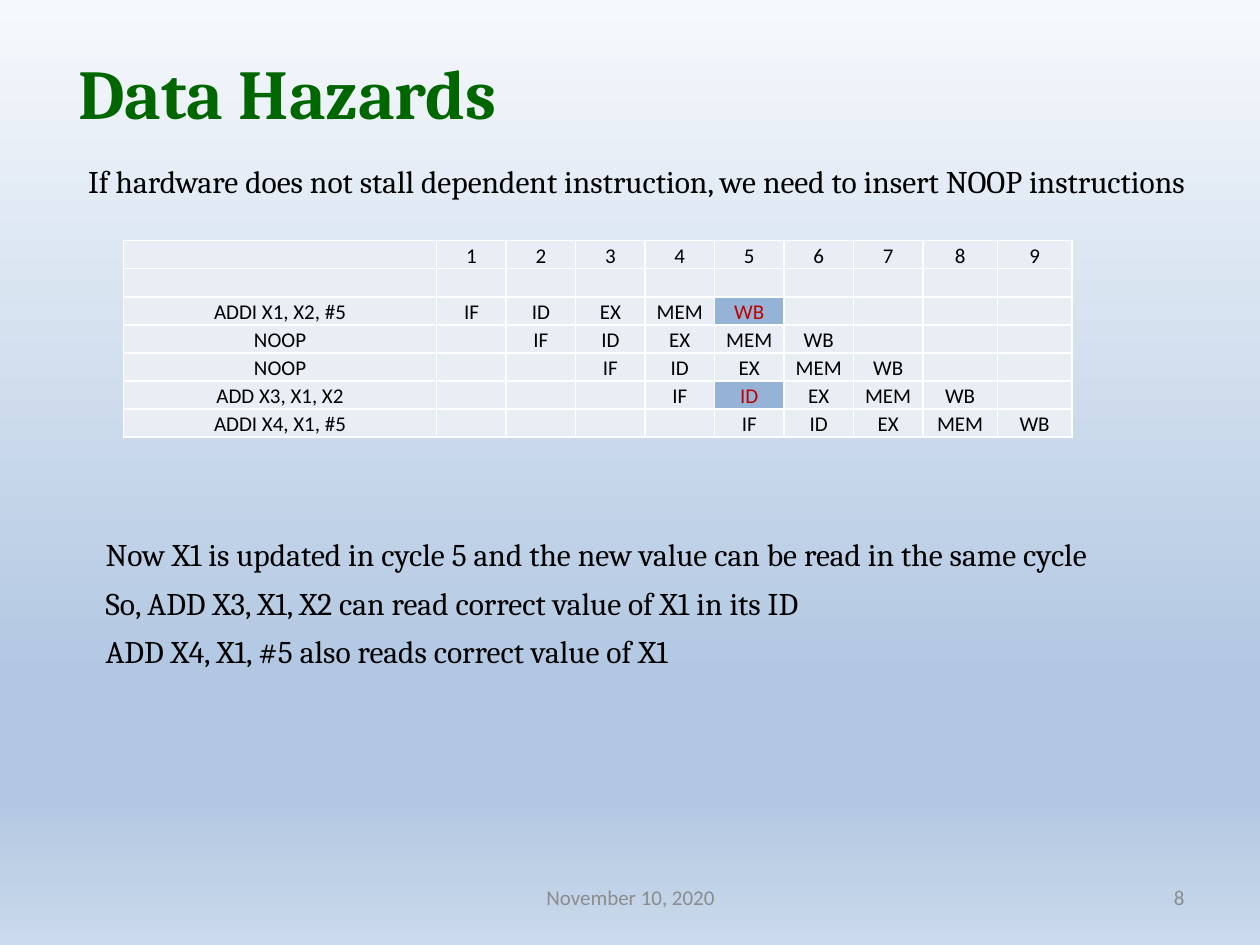
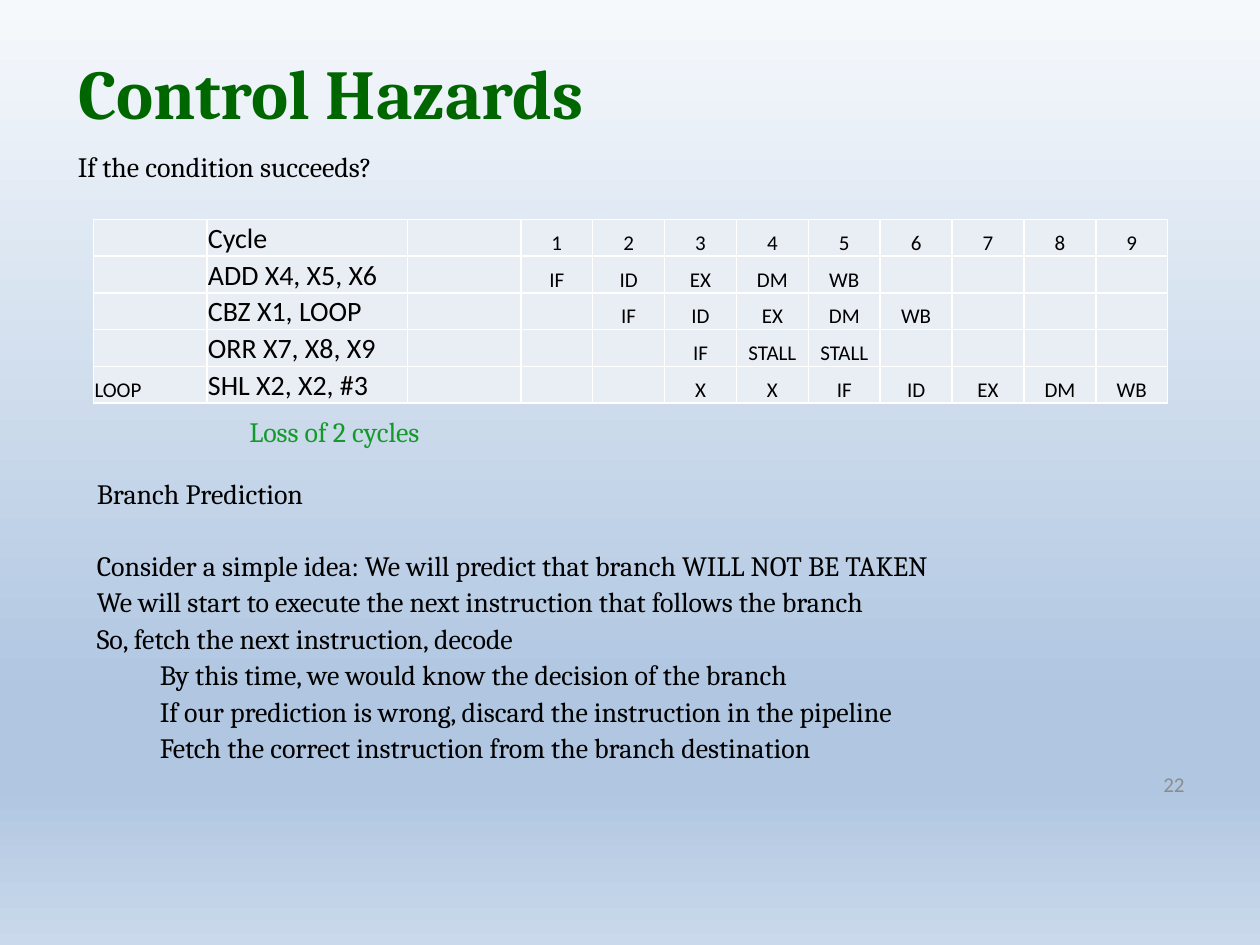
import lxml.etree
import pptx
import pptx.dml.color
import pptx.enum.text
import pptx.oxml.ns
import pptx.util

Inches, Pt = pptx.util.Inches, pptx.util.Pt
ALIGN, ANCHOR = pptx.enum.text.PP_ALIGN, pptx.enum.text.MSO_ANCHOR
qn = pptx.oxml.ns.qn

# Shared look
SERIF, SANS = "Cambria", "Calibri"
BLACK, WHITE, GREY = "000000", "FFFFFF", "8C8C8C"
TITLE_GREEN, NOTE_GREEN = "006600", "139A29"
CELL, HIT, RED = "E9EDF4", "95B3D7", "C00000"
BACKGROUND = [(0, "F6F9FC"), (74, "B0C6E1"), (83, "B0C6E1"), (100, "CAD9EB")]
TITLE_BOX = (0.52, 0.31, 9.03, 0.83)
CYCLES = 9


def rgb(value):
    return pptx.dml.color.RGBColor.from_string(value)


def apply(target, **values):
    for name, value in values.items():
        setattr(target, name, value)


def style(font, size, color, name=SERIF, bold=False):
    apply(font, size=Pt(size), name=name, bold=bold)
    font.color.rgb = rgb(color)


def add_color(parent, color):
    lxml.etree.SubElement(parent, qn("a:srgbClr"), val=color)


def set_background(master):
    fill = master.background.fill
    fill.gradient()
    fill.gradient_angle = 270
    stops = master.background._cSld.find(".//" + qn("a:gsLst"))
    for stop in list(stops):
        stops.remove(stop)
    for percent, color in BACKGROUND:
        add_color(lxml.etree.SubElement(stops, qn("a:gs"), pos=str(percent * 1000)), color)


def add_slide(prs, title):
    s = prs.slides.add_slide(prs.slide_layouts.get_by_name("Title Only"))
    sp = s.shapes.title
    apply(sp, **dict(zip(("left", "top", "width", "height"), map(Inches, TITLE_BOX))))
    tf = sp.text_frame
    apply(tf, vertical_anchor=ANCHOR.MIDDLE, word_wrap=True,
          auto_size=pptx.enum.text.MSO_AUTO_SIZE.NONE)
    p = tf.paragraphs[0]
    p.alignment = ALIGN.LEFT
    r = p.add_run()
    r.text = title
    style(r.font, 40, TITLE_GREEN, bold=True)
    return s


def add_text(s, box, lines, size, color=BLACK, font=SERIF, anchor=ANCHOR.TOP, **spacing):
    """Write one paragraph per line and return the paragraphs."""
    tf = s.shapes.add_textbox(*map(Inches, box)).text_frame
    apply(tf, word_wrap=True, vertical_anchor=anchor)
    for i, line in enumerate(lines):
        p = tf.paragraphs[0] if i == 0 else tf.add_paragraph()
        apply(p, **spacing)
        r = p.add_run()
        r.text = line
        style(r.font, size, color, font)
    tf.paragraphs[0].space_before = Pt(0)
    return tf.paragraphs


def add_footer(s, box, text, align):
    add_text(s, box, [text], 12, GREY, SANS, ANCHOR.MIDDLE, alignment=align)


# Pipeline tables
def fill_cell(cell, text, size, align, hit):
    apply(cell, margin_left=Inches(0.01), margin_right=Inches(0.01),
          margin_top=Inches(0.01), margin_bottom=0, vertical_anchor=ANCHOR.BOTTOM)
    tc_pr = cell._tc.get_or_add_tcPr()
    for side in ("lnL", "lnR", "lnT", "lnB"):
        line = lxml.etree.SubElement(tc_pr, qn("a:" + side), w=str(Pt(1)))
        add_color(lxml.etree.SubElement(line, qn("a:solidFill")), WHITE)
    cell.fill.solid()
    cell.fill.fore_color.rgb = rgb(HIT if hit else CELL)
    p = cell.text_frame.paragraphs[0]
    p.alignment = align
    if text:
        r = p.add_run()
        r.text = text
        style(r.font, size, RED if hit else BLACK, SANS)
    else:
        lxml.etree.SubElement(p._p, qn("a:endParaRPr"), sz=str(size * 100))


def add_pipeline(s, box, widths, rows, sizes, label_align, hits=()):
    """Rows are (labels, first cycle, stages); widths are scaled to the box."""
    x, y, w, h = box
    labels = len(widths) - CYCLES
    table = s.shapes.add_table(len(rows), len(widths), *map(Inches, box)).table
    apply(table, first_row=False, horz_banding=False)
    for column, width in zip(table.columns, widths):
        column.width = Inches(w * width / sum(widths))
    for i, (names, first, stages) in enumerate(rows):
        table.rows[i].height = Inches(h / len(rows))
        texts = names + [""] * (first - 1) + stages.split()
        texts += [""] * (len(widths) - len(texts))
        for j, text in enumerate(texts):
            align = label_align if j < labels else ALIGN.CENTER
            size = sizes[j] if j < labels else 12
            fill_cell(table.cell(i, j), text, size, align, (i, j) in hits)


def data_hazards(prs):
    s = add_slide(prs, "Data Hazards")
    add_text(s, (0.6, 1.24, 9.05, 0.5),
             ["If hardware does not stall dependent instruction, "
              "we need to insert NOOP instructions"], 18)
    stages = "IF ID EX MEM WB"
    program = ["ADDI X1, X2, #5", "NOOP", "NOOP", "ADD X3, X1, X2", "ADDI X4, X1, #5"]
    rows = [([""], 1, "1 2 3 4 5 6 7 8 9"), ([""], 1, "")]
    rows += [([code], cycle, stages) for cycle, code in enumerate(program, 1)]
    add_pipeline(s, (0.98, 1.91, 7.53, 1.56), [2.48] + [0.55] * 7 + [0.59] * 2,
                 rows, [12], ALIGN.CENTER, hits={(2, 5), (5, 5)})
    add_text(s, (0.74, 4.2, 8.59, 1.18),
             ["Now X1 is updated in cycle 5 and the new value can be read in the same cycle",
              "So, ADD X3, X1, X2 can read correct value of X1 in its ID",
              "ADD X4, X1, #5 also reads correct value of X1"], 18, space_after=Pt(6))
    add_footer(s, (3.42, 6.92, 3.17, 0.4), "November 10, 2020", ALIGN.CENTER)
    add_footer(s, (7.17, 6.92, 2.33, 0.4), "8", ALIGN.RIGHT)


def control_hazards(prs):
    s = add_slide(prs, "Control Hazards")
    add_text(s, (0.52, 1.17, 9.03, 0.53), ["If the condition succeeds?"], 16,
             line_spacing=0.9)
    rows = [(["", "Cycle", ""], 1, "1 2 3 4 5 6 7 8 9"),
            (["", "ADD X4, X5, X6", ""], 1, "IF ID EX DM WB"),
            (["", "CBZ X1, LOOP", ""], 2, "IF ID EX DM WB"),
            (["", "ORR X7, X8, X9", ""], 3, "IF STALL STALL"),
            (["LOOP", "SHL X2, X2, #3", ""], 3, "X X IF ID EX DM WB")]
    add_pipeline(s, (0.74, 1.74, 8.53, 1.46), [0.9, 1.59, 0.9] + [0.57] * CYCLES,
                 rows, [12, 16, 12], ALIGN.LEFT)
    add_text(s, (1.88, 3.24, 3.45, 0.37), ["Loss of 2 cycles"], 16, NOTE_GREEN)

    # Branch prediction: a gap after the heading, last three lines indented
    paragraphs = add_text(
        s, (0.67, 3.76, 9.03, 2.43),
        ["Branch Prediction",
         "Consider a simple idea: We will predict that branch WILL NOT BE TAKEN",
         "We will start to execute the next instruction that follows the branch",
         "So, fetch the next instruction, decode",
         "By this time, we would know the decision of the branch",
         "If our prediction is wrong, discard the instruction in the pipeline",
         "Fetch the correct instruction from the branch destination"],
        16, line_spacing=0.9, space_before=Pt(3.6))
    paragraphs[1].space_before = Pt(24)
    for p in paragraphs[-3:]:
        p._p.get_or_add_pPr().set("marL", str(Inches(0.5)))
    add_footer(s, (7.23, 6.02, 2.27, 0.4), "22", ALIGN.RIGHT)


def main():
    prs = pptx.Presentation()
    apply(prs, slide_width=Inches(10), slide_height=Inches(7.5))
    set_background(prs.slide_master)
    data_hazards(prs)
    control_hazards(prs)
    prs.save("out.pptx")


if __name__ == "__main__":
    main()
